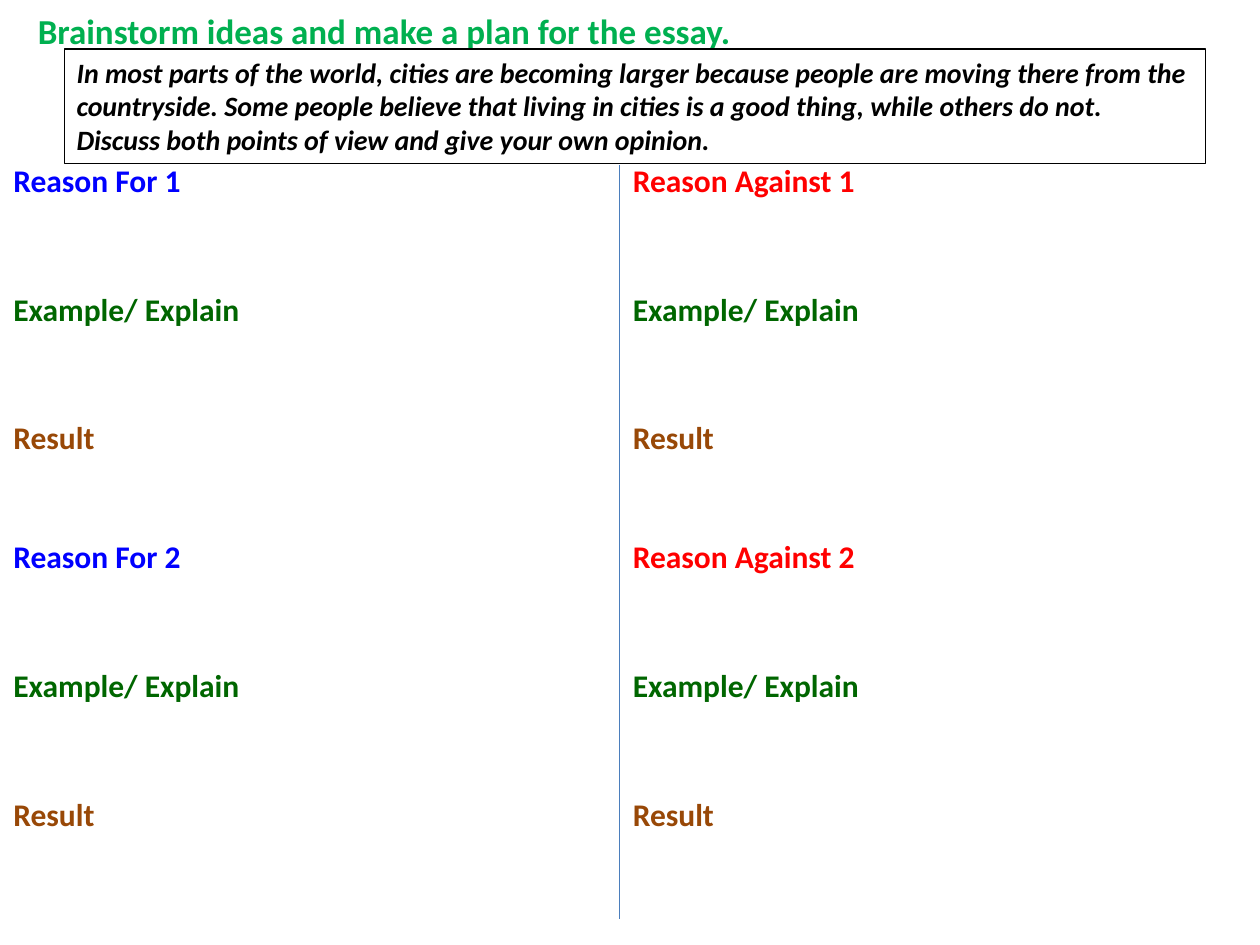
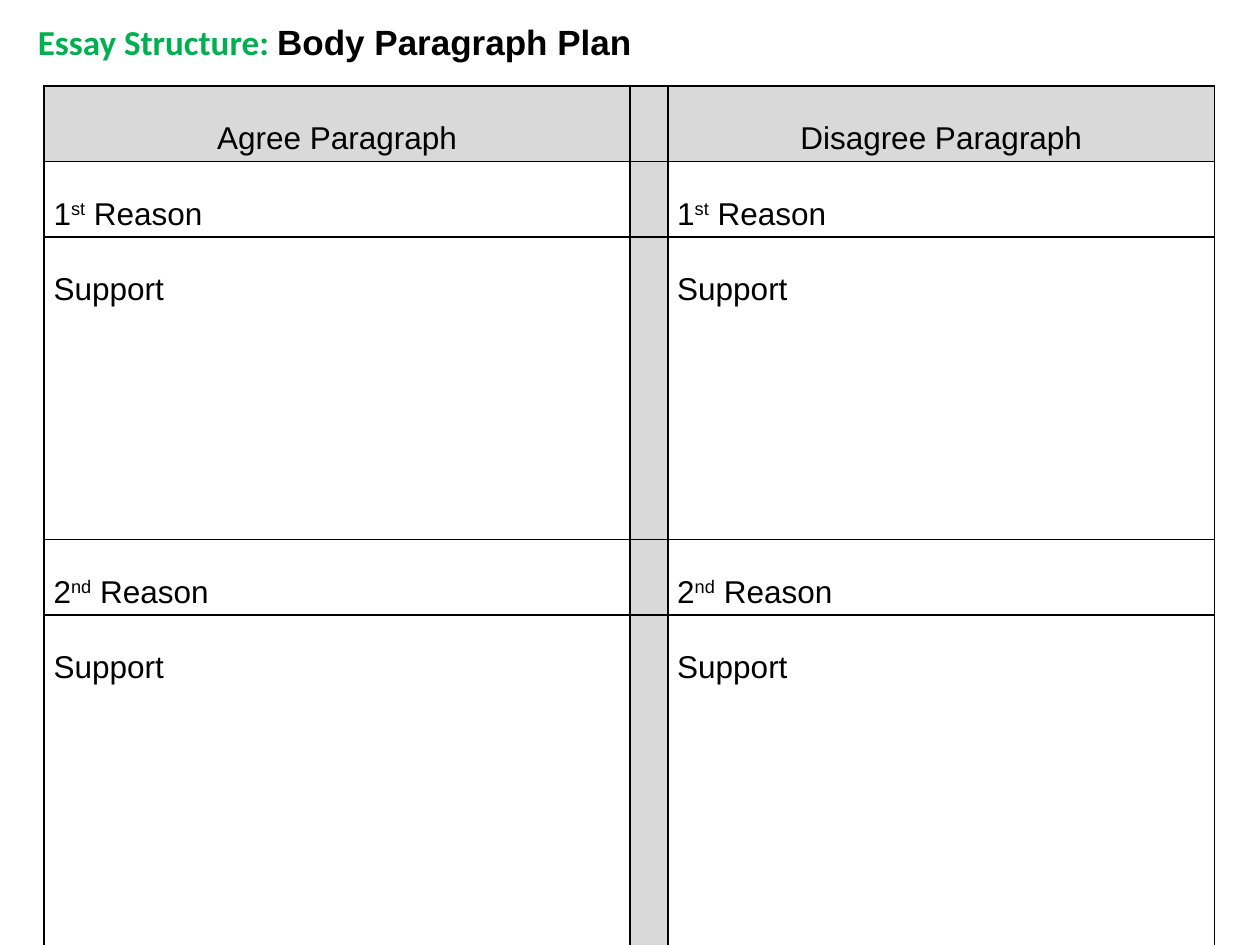
from lxml import etree
from pptx import Presentation
from pptx.dml.color import RGBColor
from pptx.enum.shapes import MSO_CONNECTOR
from pptx.enum.text import MSO_ANCHOR, MSO_AUTO_SIZE, PP_ALIGN
from pptx.oxml.ns import qn
from pptx.util import Pt

LEFT, CENTER = PP_ALIGN.LEFT, PP_ALIGN.CENTER
TOP = MSO_ANCHOR.TOP
NO_AUTOSIZE = MSO_AUTO_SIZE.NONE
STRAIGHT = MSO_CONNECTOR.STRAIGHT
TITLE_ONLY = 5

BLACK, GREEN, GREY, LINE_BLUE = "000000", "00B050", "D9D9D9", "4B7EBC"
HEADING, BODY = "Calibri", "Arial"

# Brainstorm slide
BRAINSTORM_TITLE = "Brainstorm ideas and make a plan for the essay."
ESSAY_QUESTION = [
    "In most parts of the world, cities are becoming larger because people are "
    "moving there from the countryside. Some people believe that living in cities "
    "is a good thing, while others do not.",
    "Discuss both points of view and give your own opinion.",
]
SIDES = [("Reason For", "0000FF"), ("Reason Against", "FF0000")]
STEPS = [("Example/ Explain", "006600"), ("Result", "984807")]
SIDE_LEFTS = [0.5, 354.5]
FIRST_TOP, REASON_PITCH, STEP_PITCH = 88.5, 215, 73.5

# Paragraph plan slide
PLAN_TITLE = [("Essay Structure: ", HEADING, GREEN),
              ("Body Paragraph Plan", BODY, BLACK)]
PARAGRAPHS = ["Agree Paragraph", "Disagree Paragraph"]
# Each row: text pieces (text, is superscript), height
PLAN_ROWS = [
    ([("1", False), ("st", True), (" Reason", False)], 43.2),
    ([("Support", False)], 172.8),
    ([("2", False), ("nd", True), (" Reason", False)], 43.2),
    ([("Support", False)], 191.5),
]
HEADER_HEIGHT = 43.2
COLUMN_WIDTHS = [334.8, 21.6, 312.5]


def rgb(color):
    return RGBColor.from_string(color)


def add_run(p, text, size=18, font=HEADING, color=BLACK, bold=False,
            italic=False, superscript=False):
    r = p.add_run()
    r.text = text
    f = r.font
    f.size, f.name, f.bold, f.italic = Pt(size), font, bold, italic
    f.color.rgb = rgb(color)
    if superscript:
        r._r.get_or_add_rPr().set("baseline", "30000")


def add_box(s, x, y, w, h):
    box = s.shapes.add_textbox(Pt(x), Pt(y), Pt(w), Pt(h))
    box.text_frame.word_wrap = True
    return box


def add_titled_slide(prs, pieces, top, height):
    s = prs.slides.add_slide(prs.slide_layouts[TITLE_ONLY])
    title = s.shapes.title
    title.left, title.top = Pt(14.4), Pt(top)
    title.width, title.height = Pt(692), Pt(height)
    tf = title.text_frame
    tf.auto_size, tf.vertical_anchor, tf.word_wrap = NO_AUTOSIZE, TOP, True
    p = tf.paragraphs[0]
    p.alignment = LEFT
    for text, font, color in pieces:
        add_run(p, text, size=20, font=font, color=color, bold=True)
    return s


def add_divider(s, x, top, bottom):
    line = s.shapes.add_connector(STRAIGHT, Pt(x), Pt(top), Pt(x), Pt(bottom))
    line.line.color.rgb = rgb(LINE_BLUE)
    line.line.width = Pt(0.75)
    etree.SubElement(line._element.spPr, qn("a:effectLst"))


def build_brainstorm(prs):
    s = add_titled_slide(prs, [(BRAINSTORM_TITLE, HEADING, GREEN)], 2, 32)
    question = add_box(s, 36.7, 28, 652.3, 65.5)
    question.line.color.rgb = rgb(BLACK)
    question.line.width = Pt(0.75)
    tf = question.text_frame
    for i, text in enumerate(ESSAY_QUESTION):
        p = tf.add_paragraph() if i else tf.paragraphs[0]
        add_run(p, text, size=16, bold=True, italic=True)

    add_divider(s, 354.2, 94.3, 525)
    for x, (side, side_color) in zip(SIDE_LEFTS, SIDES):
        for n in range(2):
            labels = [(f"{side} {n + 1}", side_color)] + STEPS
            for i, (text, color) in enumerate(labels):
                y = FIRST_TOP + n * REASON_PITCH + i * STEP_PITCH
                p = add_box(s, x, y, 170, 29).text_frame.paragraphs[0]
                add_run(p, text, color=color, bold=True)


def set_borders(cell):
    tcPr = cell._tc.get_or_add_tcPr()
    for i, side in enumerate(("lnL", "lnR", "lnT", "lnB")):
        ln = etree.Element(qn(f"a:{side}"), w=str(Pt(1)))
        fill = etree.SubElement(ln, qn("a:solidFill"))
        etree.SubElement(fill, qn("a:srgbClr"), val=BLACK)
        tcPr.insert(i, ln)


def fill_cell(cell, pieces, shaded, align=LEFT):
    cell.margin_left = cell.margin_right = Pt(5.4)
    cell.margin_top = cell.margin_bottom = 0
    if shaded:
        cell.fill.solid()
        cell.fill.fore_color.rgb = rgb(GREY)
    else:
        cell.fill.background()
    set_borders(cell)
    p = cell.text_frame.paragraphs[0]
    p.alignment = align
    if pieces:
        p.line_spacing = 2.0
    for text, superscript in pieces:
        add_run(p, text, font=BODY, superscript=superscript)


def build_plan(prs):
    s = add_titled_slide(prs, PLAN_TITLE, 8, 40)
    heights = [HEADER_HEIGHT] + [height for _, height in PLAN_ROWS]
    table = s.shapes.add_table(len(heights), len(COLUMN_WIDTHS), Pt(25.2), Pt(49),
                               Pt(sum(COLUMN_WIDTHS)), Pt(sum(heights))).table
    table.first_row = table.horz_banding = False
    for column, width in zip(table.columns, COLUMN_WIDTHS):
        column.width = Pt(width)
    for row, height in zip(table.rows, heights):
        row.height = Pt(height)

    agree, disagree = ([(text, False)] for text in PARAGRAPHS)
    for c, pieces in enumerate((agree, [], disagree)):
        fill_cell(table.cell(0, c), pieces, shaded=True, align=CENTER)
    for r, (pieces, _) in enumerate(PLAN_ROWS, start=1):
        for c, content in enumerate((pieces, [], pieces)):
            fill_cell(table.cell(r, c), content, shaded=not content)


def main():
    prs = Presentation()
    prs.slide_width, prs.slide_height = Pt(720), Pt(540)
    build_brainstorm(prs)
    build_plan(prs)
    prs.save("out.pptx")


if __name__ == "__main__":
    main()
